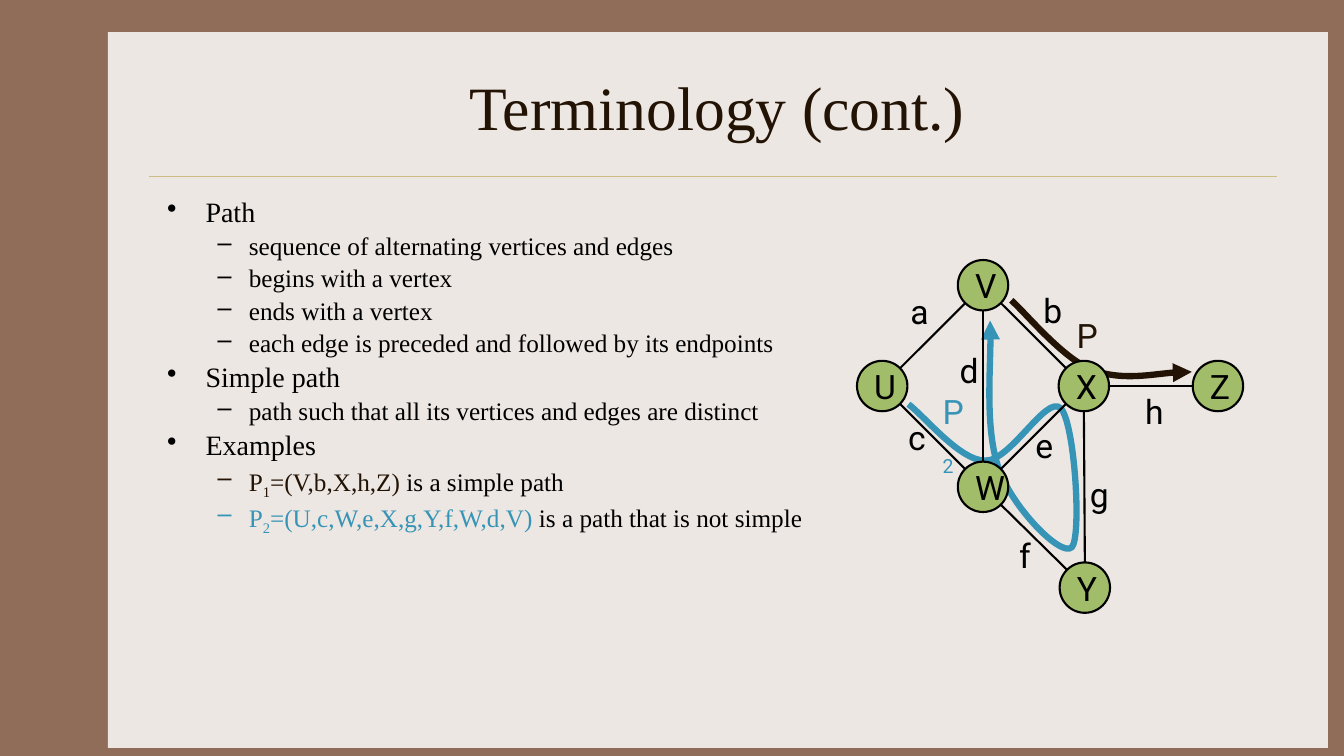
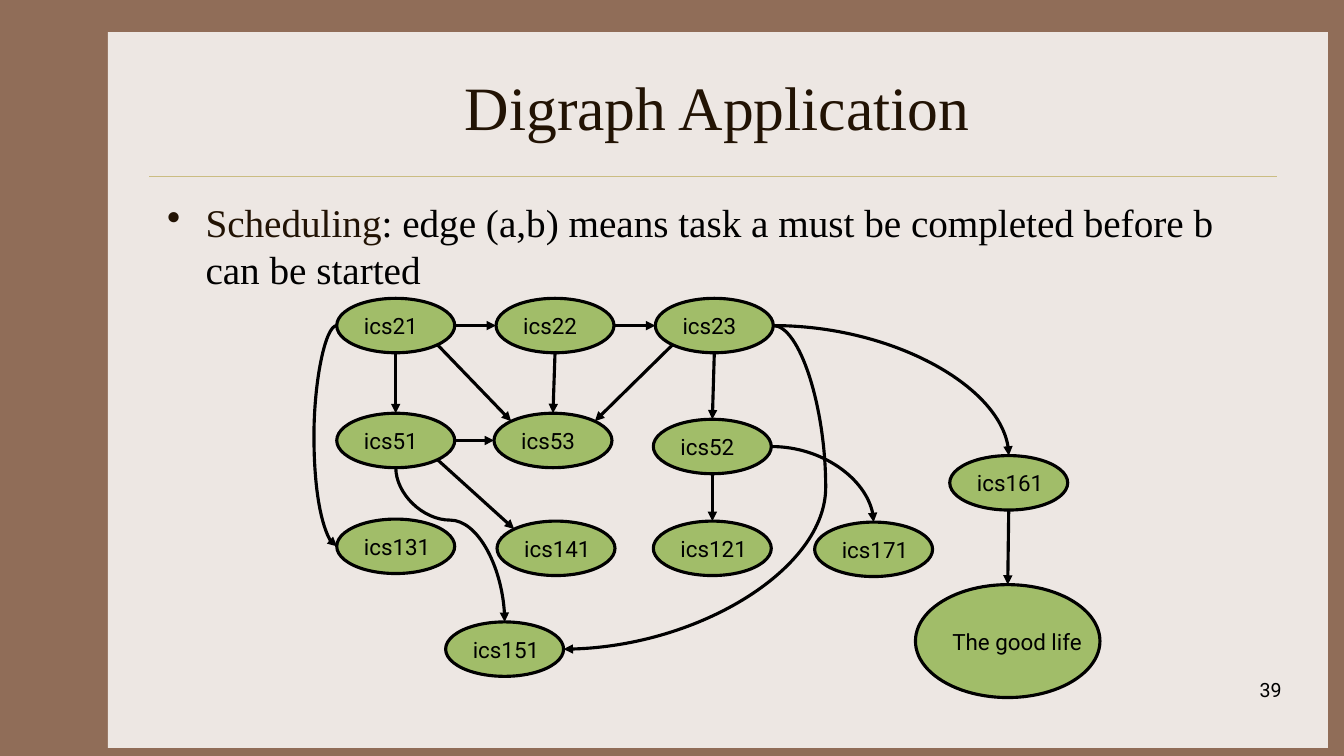
from lxml.etree import SubElement
from pptx import Presentation
from pptx.dml.color import RGBColor as Rgb
from pptx.enum.shapes import MSO_CONNECTOR as Link, MSO_SHAPE as Form
from pptx.enum.text import MSO_ANCHOR as Anchor, MSO_AUTO_SIZE as Auto, PP_ALIGN as Align
from pptx.oxml.ns import qn
from pptx.util import Inches, Pt

HUES = {"frame": "906D58", "page": "EDE7E3", "rule": "CBBD83", "dark": "221304",
        "blue": "3694B6", "node": "A1BD69", "black": "000000"}
SERIF, SANS = "Times New Roman", "Roboto"

# Connection sites of an ellipse, counter-clockwise from the top
DIAG = 0.71
TOP, TL, LEFT, BL, BOTTOM, BR, RIGHT, TR = range(8)
SITES = [(0, -1), (-DIAG, -DIAG), (-1, 0), (-DIAG, DIAG),
         (0, 1), (DIAG, DIAG), (1, 0), (DIAG, -DIAG)]


def hue(name):
    return Rgb.from_string(HUES[name])


def style(run, size, face, color, sub=False):
    font = run.font
    font.size, font.name = Pt(size), face
    font.color.rgb = hue(color)
    if sub:
        font._element.set("baseline", "-25000")


def add_runs(para, parts, size, face):
    """Add (text, colour) or (text, colour, True for subscript) runs."""
    for text, *look in parts:
        run = para.add_run()
        run.text = text
        style(run, size, face, *look)


def add_text(slide, box, parts, size, face, align=Align.LEFT, wrap=True):
    frame = slide.shapes.add_textbox(*map(Inches, box)).text_frame
    frame.word_wrap = wrap
    frame.auto_size = Auto.NONE if wrap else Auto.SHAPE_TO_FIT_TEXT
    para = frame.paragraphs[0]
    para.alignment = align
    add_runs(para, parts, size, face)
    return frame


def set_line(shape, color, width, arrow=False):
    shape.line.color.rgb = hue(color)
    shape.line.width = Pt(width)
    if arrow:
        SubElement(shape.line._get_or_add_ln(), qn("a:tailEnd"), type="triangle")


def add_line(slide, kind, start, end, color, width, arrow=False):
    line = slide.shapes.add_connector(kind, *map(Inches, (*start, *end)))
    set_line(line, color, width, arrow)
    SubElement(line._element.spPr, qn("a:effectLst"))
    return line


def add_page(deck, title):
    slide = deck.slides.add_slide(deck.slide_layouts[6])
    fill = slide.background.fill
    fill.solid()
    fill.fore_color.rgb = hue("frame")
    page = slide.shapes.add_shape(Form.RECTANGLE, *map(Inches, (1.07, 0.32, 12.1, 7.1)))
    page.shadow.inherit = False
    page.fill.solid()
    page.fill.fore_color.rgb = hue("page")
    page.line.fill.background()
    add_line(slide, Link.STRAIGHT, (1.48, 1.75), (12.67, 1.75), "rule", 0.25)
    frame = add_text(slide, (1.56, 0.42, 11.11, 1.25), [(title, "dark")], 44, SERIF, Align.CENTER)
    frame.vertical_anchor = Anchor.MIDDLE
    return slide


def add_list(slide, items, sizes, space):
    """Add a bullet list of (level, runs) items."""
    box = slide.shapes.add_textbox(*map(Inches, (1.56, 1.92, 11.11, 4.5)))
    frame = box.text_frame
    frame.word_wrap = True
    for num, (level, parts) in enumerate(items):
        para = frame.add_paragraph() if num else frame.paragraphs[0]
        left, hang, mark = [(0.38, 0.38, "•"), (0.81, 0.31, "–")][level]
        para.level = level
        props = para._p.get_or_add_pPr()
        props.set("marL", str(Inches(left)))
        props.set("indent", str(-Inches(hang)))
        SubElement(props, qn("a:buChar"), char=mark)
        para.line_spacing = space
        para.space_before = Pt(0.2 * sizes[level] if num else 0)
        add_runs(para, parts, sizes[level], SERIF)


def add_node(slide, box, name, size, width):
    node = slide.shapes.add_shape(Form.OVAL, *map(Inches, box))
    node.shadow.inherit = False
    node.fill.solid()
    node.fill.fore_color.rgb = hue("node")
    set_line(node, "black", width)
    frame = node.text_frame
    frame.word_wrap = False
    frame.vertical_anchor = Anchor.MIDDLE
    para = frame.paragraphs[0]
    para.alignment = Align.LEFT
    add_runs(para, [(name, "black")], size, SANS)
    return node


def site(node, side):
    """Return the point, in inches, of one connection site."""
    dx, dy = SITES[side]
    half, tall = node.width.inches / 2, node.height.inches / 2
    return node.left.inches + half * (1 + dx), node.top.inches + tall * (1 + dy)


def glue(line, first, out, last, into):
    props = line._element.nvCxnSpPr.cNvCxnSpPr
    for end, node, side in ((props.get_or_add_stCxn(), first, out),
                            (props.get_or_add_endCxn(), last, into)):
        end.id, end.idx = node.shape_id, side


def join(slide, first, out, last, into, width, arrow=False):
    line = add_line(slide, Link.STRAIGHT, site(first, out), site(last, into),
                    "black", width, arrow)
    glue(line, first, out, last, into)


def bend(slide, first, out, last, into, width, turn=None):
    """Add a curved arrow; turn is where its middle lies, from 0 at start to 1 at end."""
    start, end = site(first, out), site(last, into)
    upright = out == BOTTOM
    if upright:
        (x1, y1), (x2, y2) = start, end
        mid, half = (x1 + x2) / 2, (y2 - y1) / 2
        center, tall = (y1 + y2) / 2, (x2 - x1) / 2
        start, end = (mid + half, center - tall), (mid - half, center + tall)
    elif start[0] == end[0]:
        end = end[0] + 0.002, end[1]  # a turn is a share of the width, so it cannot be 0
    line = add_line(slide, Link.CURVE, start, end, "black", width, True)
    props = line._element.spPr
    if upright:
        props.find(qn("a:xfrm")).set("rot", str(270 * 60000))
    form = props.find(qn("a:prstGeom"))
    if turn is None:
        form.set("prst", "curvedConnector2")
    else:
        guides = form.find(qn("a:avLst"))
        if guides is None:
            guides = SubElement(form, qn("a:avLst"))
        SubElement(guides, qn("a:gd"), name="adj1", fmla=f"val {round(turn * 100000)}")
    glue(line, first, out, last, into)


def add_trail(slide, x, y, points, color):
    """Add an arrow of Bezier curves: a start, then three points for each curve."""
    spots = [(Inches(x + dx), Inches(y + dy)) for dx, dy in points]
    pen = slide.shapes.build_freeform(*spots[0])
    pen.add_line_segments(spots[1:], close=False)
    trail = pen.convert_to_shape()
    trail.shadow.inherit = False
    trail.fill.background()
    set_line(trail, color, 4.5, True)
    route = trail._element.spPr.find(".//" + qn("a:path"))
    for num, step in enumerate(route.findall(qn("a:lnTo"))):
        if num % 3 == 0:
            curve = SubElement(route, qn("a:cubicBezTo"))
        curve.append(step[0])
        route.remove(step)


def add_graph(slide, x, y):
    def label(dx, dy, wide, parts):
        add_text(slide, (x + dx, y + dy, wide, 0.5), parts, 24, SANS, wrap=False)

    add_trail(slide, x, y, [
        (0.51, 1.43), (0.67, 1.55), (1.02, 1.99), (1.27, 1.99),
        (1.52, 2), (1.88, 1.33), (2.02, 1.47), (2.16, 1.61), (2.23, 2.75), (2.13, 2.85),
        (2.02, 2.95), (1.54, 2.45), (1.41, 2.08), (1.27, 1.7), (1.34, 0.84), (1.32, 0.6),
    ], "blue")
    label(2.08, 0.5, 0.51, [("P", "dark"), ("1", "dark", True)])
    add_trail(slide, x, y, [
        (1.53, 0.4), (1.66, 0.51), (2.03, 0.97), (2.33, 1.09),
        (2.63, 1.2), (3.12, 1.1), (3.32, 1.11),
    ], "dark")
    spots = {"X": (2, 1), "U": (0, 1), "V": (1, 0), "W": (1, 2), "Z": (3.33, 1), "Y": (2.01, 3)}
    nodes = {name: add_node(slide, (x + dx, y + dy, 0.5, 0.5), name, 24, 1.5)
             for name, (dx, dy) in spots.items()}
    for first, out, last, into in [
            ("V", BL, "U", TR), ("W", TL, "U", BR), ("W", TR, "X", BL), ("X", RIGHT, "Z", LEFT),
            ("V", BR, "X", TL), ("V", BOTTOM, "W", TOP), ("W", BR, "Y", TL),
            ("X", BOTTOM, "Y", TOP)]:
        join(slide, nodes[first], out, nodes[last], into, 1.5)
    for name, dx, dy, wide in [
            ("a", 0.43, 0.26, 0.38), ("c", 0.41, 1.51, 0.36), ("b", 1.75, 0.25, 0.39),
            ("e", 1.67, 1.59, 0.38), ("d", 0.92, 0.84, 0.39), ("f", 1.51, 2.68, 0.31),
            ("g", 2.21, 2.07, 0.39), ("h", 2.76, 1.25, 0.39)]:
        label(dx, dy, wide, [(name, "black")])
    label(0.75, 1.25, 0.51, [("P", "blue"), ("2", "blue", True)])


def add_plan(slide, x, y):
    spots = {"ics141": (1.59, 2.21), "ics131": (0, 2.19), "ics121": (3.14, 2.21),
             "ics53": (1.56, 1.14), "ics52": (3.14, 1.2), "ics51": (0, 1.14),
             "ics23": (3.16, 0), "ics22": (1.58, 0), "ics21": (0, 0),
             "ics161": (6.08, 1.56), "ics151": (1.08, 3.21), "ics171": (4.74, 2.22)}
    nodes = {name: add_node(slide, (x + dx, y + dy, 1.17, 0.54), name, 16, 2.25)
             for name, (dx, dy) in spots.items()}
    goal = "The good life"
    nodes[goal] = add_node(slide, (x + 5.74, y + 2.84, 1.83, 1.12), goal, 16, 2.25)
    for first, out, last, into in [
            ("ics21", RIGHT, "ics22", LEFT), ("ics22", RIGHT, "ics23", LEFT),
            ("ics21", BOTTOM, "ics51", TOP), ("ics23", BOTTOM, "ics52", TOP),
            ("ics51", RIGHT, "ics53", LEFT), ("ics21", BR, "ics53", TL),
            ("ics22", BOTTOM, "ics53", TOP), ("ics23", BL, "ics53", TR),
            ("ics52", BOTTOM, "ics121", TOP), ("ics51", BR, "ics141", TL),
            ("ics161", BOTTOM, goal, TOP)]:
        join(slide, nodes[first], out, nodes[last], into, 2.25, True)
    for first, out, last, into, turn in [
            ("ics21", LEFT, "ics131", LEFT, -115), ("ics51", BOTTOM, "ics151", TOP, 0.34),
            ("ics23", RIGHT, "ics151", RIGHT, -0.25), ("ics23", RIGHT, "ics161", TOP, None),
            ("ics52", RIGHT, "ics171", TOP, None)]:
        bend(slide, nodes[first], out, nodes[last], into, 2.25, turn)


def add_terms(deck):
    slide = add_page(deck, "Terminology (cont.)")
    plain = [(0, "Path"), (1, "sequence of alternating vertices and edges"),
             (1, "begins with a vertex"), (1, "ends with a vertex"),
             (1, "each edge is preceded and followed by its endpoints"),
             (0, "Simple path"), (1, "path such that all its vertices and edges are distinct"),
             (0, "Examples")]
    items = [(level, [(text, "black")]) for level, text in plain]
    for num, route, claim, color in [
            ("1", "=(V,b,X,h,Z)", " is a simple path", "dark"),
            ("2", "=(U,c,W,e,X,g,Y,f,W,d,V)", " is a path that is not simple", "blue")]:
        items.append((1, [("P", color), (num, color, True), (route, color), (claim, "black")]))
    add_list(slide, items, (20, 18), 0.9)
    add_graph(slide, 8.5, 2.58)


def add_tasks(deck):
    slide = add_page(deck, "Digraph Application")
    rest = ": edge (a,b) means task a must be completed before b can be started"
    add_list(slide, [(0, [("Scheduling", "dark"), (rest, "black")])], (28,), 1.0)
    add_text(slide, (10.03, 6.68, 2.78, 0.5), [("39", "black")], 14, SANS, Align.RIGHT)
    add_plan(slide, 3.34, 2.96)


def main():
    deck = Presentation()
    deck.slide_width, deck.slide_height = Inches(13.33), Inches(7.5)
    add_terms(deck)
    add_tasks(deck)
    deck.save("out.pptx")


if __name__ == "__main__":
    main()
